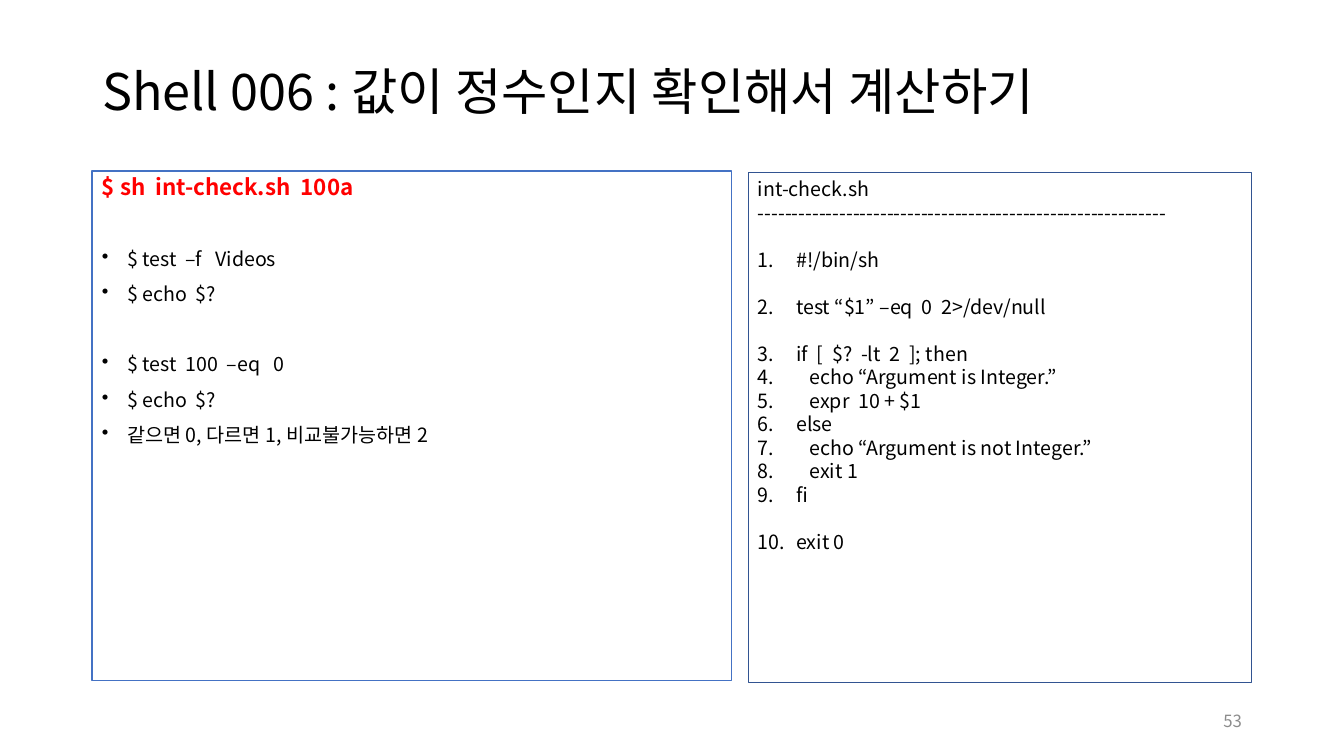
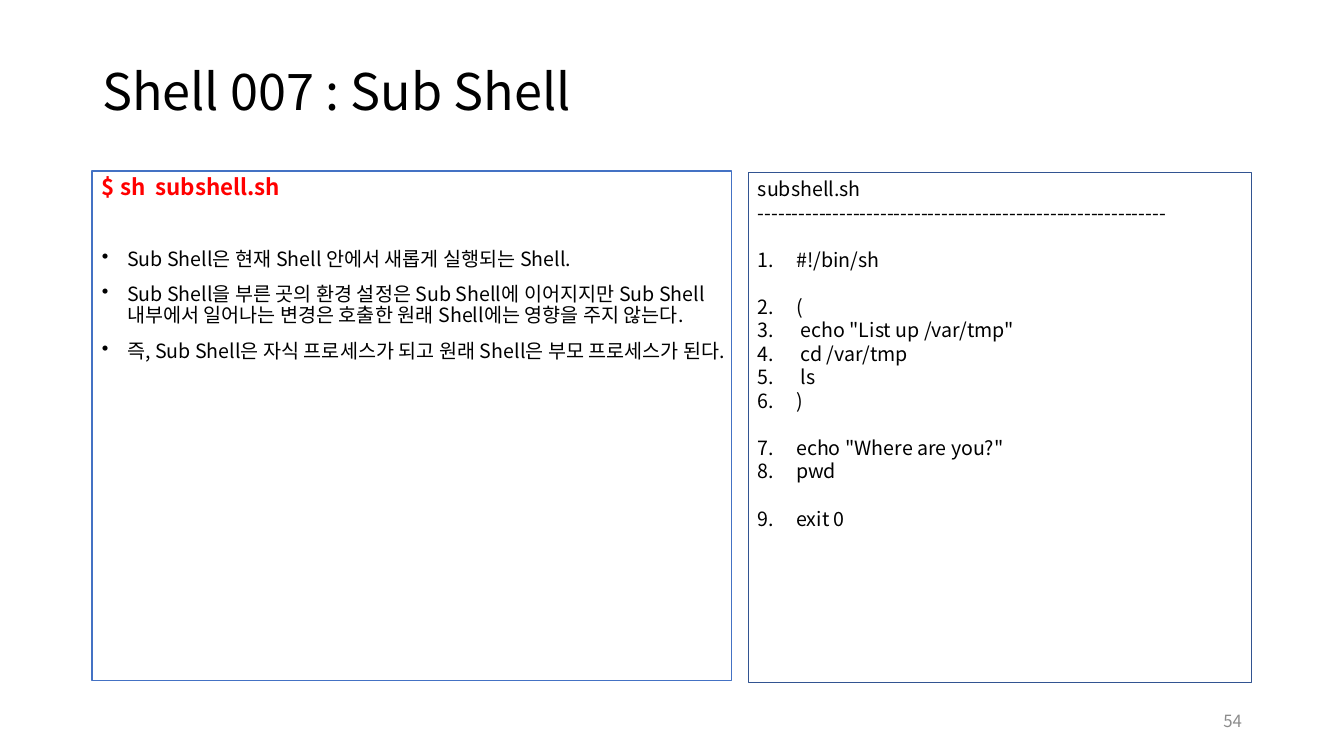
import pptx
import pptx.dml.color
import pptx.enum.shapes
import pptx.enum.text
import pptx.oxml
import pptx.oxml.ns
import pptx.util
import lxml.etree

SLIDE_WIDTH, SLIDE_HEIGHT = 1344, 756
EMU_PER_PX = 12192000 / SLIDE_WIDTH
FONT = "Noto Sans CJK KR"
BLACK, RED, GRAY = "000000", "FF0000", "8C8C8C"
BLUE, NAVY = "4472C4", "325491"
RULE = "-" * 60
TITLE_ONLY = 5

TITLE_AREA = (92, 40, 1160, 102)
NOTES_AREA = (92, 171, 640, 510)
CODE_AREA = (748, 172, 503, 510)
NUMBER_AREA = (950, 701, 302, 40)

TITLE = {"size": 36, "color": BLACK, "line": 43}
NUMBER = {"size": 12, "color": GRAY, "align": "RIGHT"}
COMMAND = {"size": 16, "color": RED, "bold": True, "line": 17.2}
NOTE = {"size": 14, "color": BLACK, "line": 15.2, "indent": 25,
        "bullet": ("buChar", {"char": "•"})}
HEADING = {"size": 14, "color": BLACK, "line": 16.8}
CODE = {**HEADING, "indent": 38, "bullet": ("buAutoNum", {"type": "arabicPeriod"})}
NOTE_SPACE, NOTE_GROUP_SPACE = 10, 35
CODE_GROUP_SPACE = 16.8

PAGES = [
    {
        "number": "53",
        "title": "Shell 006 : 값이 정수인지 확인해서 계산하기",
        "command": "$ sh  int-check.sh  100a",
        "notes": [
            ["$ test  –f   Videos", "$ echo  $?"],
            ["$ test  100  –eq   0", "$ echo  $?",
             "같으면 0, 다르면 1, 비교불가능하면 2"],
        ],
        "file": "int-check.sh",
        "code": [
            ["#!/bin/sh"],
            ["test “$1” –eq  0  2>/dev/null"],
            ["if  [  $?  -lt  2  ]; then",
             "   echo “Argument is Integer.”",
             "   expr  10 + $1",
             "else",
             "   echo “Argument is not Integer.”",
             "   exit 1",
             "fi"],
            ["exit 0"],
        ],
    },
    {
        "number": "54",
        "title": "Shell 007 : Sub Shell",
        "command": "$ sh  subshell.sh",
        "notes": [
            ["Sub Shell은 현재 Shell 안에서 새롭게 실행되는 Shell.",
             "Sub Shell을 부른 곳의 환경 설정은 Sub Shell에 이어지지만 Sub Shell "
             "내부에서 일어나는 변경은 호출한 원래 Shell에는 영향을 주지 않는다.",
             "즉, Sub Shell은 자식 프로세스가 되고 원래 Shell은 부모 프로세스가 된다."],
        ],
        "file": "subshell.sh",
        "code": [
            ["#!/bin/sh"],
            ["(", ' echo "List up /var/tmp"', " cd /var/tmp", " ls", ")"],
            ['echo "Where are you?"', "pwd"],
            ["exit 0"],
        ],
    },
]


def px(length):
    return pptx.util.Emu(round(length * EMU_PER_PX))


def rgb(color):
    return pptx.dml.color.RGBColor.from_string(color)


def add_bullet(para, tag, attributes, indent):
    """Give the paragraph a hanging indent, in hundredths of an inch, and a marker."""
    properties = para._p.get_or_add_pPr()
    width = pptx.util.Inches(indent / 100)
    properties.set("marL", str(width))
    properties.set("indent", str(-width))
    lxml.etree.SubElement(properties, pptx.oxml.ns.qn(f"a:{tag}"), attributes)


def write_para(para, text, style, before=0):
    if "bullet" in style:
        add_bullet(para, *style["bullet"], style["indent"])
    layout = {
        "alignment": getattr(pptx.enum.text.PP_ALIGN, style.get("align", "LEFT")),
        "space_before": pptx.util.Pt(before),
        "space_after": pptx.util.Pt(0),
        "line_spacing": pptx.util.Pt(style["line"]) if "line" in style else 1.0,
    }
    for name, value in layout.items():
        setattr(para, name, value)
    span = para.add_run()
    span.text = text
    look = {"name": FONT, "size": pptx.util.Pt(style["size"]),
            "bold": style.get("bold", False)}
    for name, value in look.items():
        setattr(span.font, name, value)
    span.font.color.rgb = rgb(style["color"])
    east_asian = lxml.etree.SubElement(span._r.get_or_add_rPr(), pptx.oxml.ns.qn("a:ea"))
    east_asian.set("typeface", FONT)


def write_box(box, rows, anchor):
    """Fill the box with rows of (text, style, space before)."""
    frame = box.text_frame
    settings = {
        "word_wrap": True,
        "auto_size": pptx.enum.text.MSO_AUTO_SIZE.NONE,
        "vertical_anchor": getattr(pptx.enum.text.MSO_ANCHOR, anchor),
    }
    for name, value in settings.items():
        setattr(frame, name, value)
    for index, row in enumerate(rows):
        write_para(frame.add_paragraph() if index else frame.paragraphs[0], *row)


def grouped_rows(groups, style, space, group_space):
    return [(text, style, space if index else group_space)
            for group in groups for index, text in enumerate(group)]


def add_title(page, text):
    title = page.shapes.title
    for name, length in zip(("left", "top", "width", "height"), TITLE_AREA):
        setattr(title, name, px(length))
    write_box(title, [(text, TITLE)], "MIDDLE")


def add_panel(page, area, color, width, rows):
    panel = page.shapes.add_shape(
        pptx.enum.shapes.MSO_SHAPE.RECTANGLE, *map(px, area))
    panel.shadow.inherit = False
    panel.fill.background()
    panel.line.color.rgb = rgb(color)
    panel.line.width = pptx.util.Pt(width)
    write_box(panel, rows, "TOP")


def add_number(page, text):
    box = page.shapes.add_textbox(*map(px, NUMBER_AREA))
    write_box(box, [(text, NUMBER)], "MIDDLE")


def add_page(deck, content):
    page = deck.slides.add_slide(deck.slide_layouts[TITLE_ONLY])
    add_title(page, content["title"])
    notes = [(content["command"], COMMAND)]
    notes += grouped_rows(content["notes"], NOTE, NOTE_SPACE, NOTE_GROUP_SPACE)
    add_panel(page, NOTES_AREA, BLUE, 0.75, notes)
    add_number(page, content["number"])
    code = [(content["file"], HEADING), (RULE, HEADING)]
    code += grouped_rows(content["code"], CODE, 0, CODE_GROUP_SPACE)
    add_panel(page, CODE_AREA, NAVY, 0.25, code)


def main():
    deck = pptx.Presentation()
    deck.slide_width, deck.slide_height = px(SLIDE_WIDTH), px(SLIDE_HEIGHT)
    for content in PAGES:
        add_page(deck, content)
    deck.save("out.pptx")


if __name__ == "__main__":
    main()
